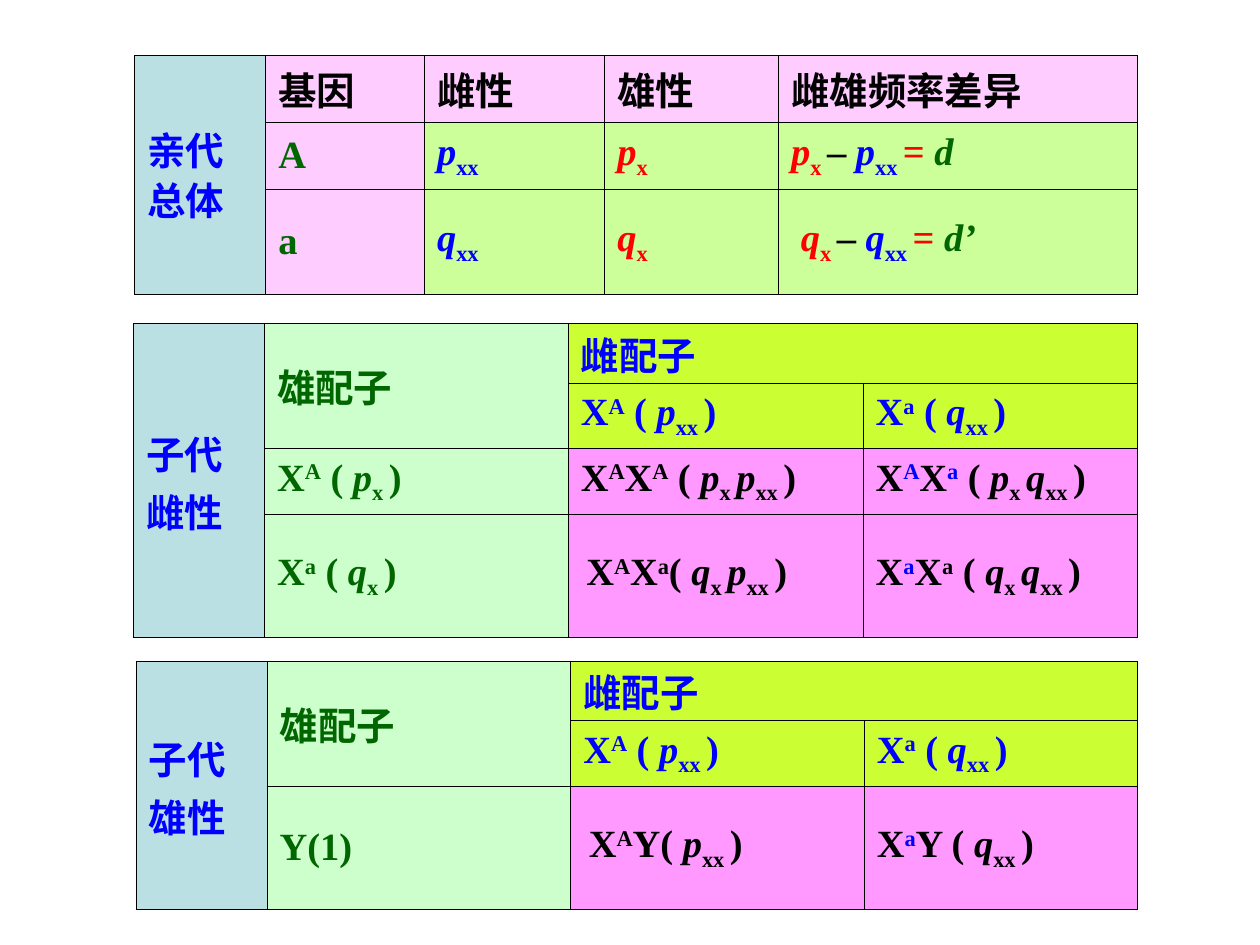
from lxml import etree
from pptx import Presentation
from pptx.dml.color import RGBColor
from pptx.enum import text
from pptx.oxml import ns
from pptx.util import Pt

THEME = {
    "font": {"name": "Times New Roman", "size": Pt(22), "bold": True},
    "ink": {"blue": "0000FF", "red": "FF0000", "green": "006600", "black": "000000"},
    "fill": {"side": "BBE0E3", "head": "FFCCFF", "freq": "CCFF99",
             "male": "CCFFCC", "female": "CCFF33", "cross": "FF99FF"},
    "border": {"color": "000000", "outer": 0.75, "inner": 0.45},
    "cell": {"vertical_anchor": text.MSO_ANCHOR.MIDDLE, "margin_top": 0, "margin_bottom": 0},
    "plain_table": "{2D5ABB26-0587-4C30-8999-92F81FD0307C}",
}
JUSTIFY = {"alignment": text.PP_ALIGN.JUSTIFY}
LAYOUTS = {
    "left": {},
    "even": JUSTIFY,
    "tight": {**JUSTIFY, "line_spacing": 0.9},
    "spread": {**JUSTIFY, "line_spacing": 1.05},
    "raised": {"space_after": Pt(5.5)},
}
BASELINES = {"^": "30000", "_": "-25000"}


def write(paragraph, markup):
    ink = "black"
    for piece in markup.split("|"):
        if piece in THEME["ink"]:
            ink = piece
            continue
        mark = piece[0] if piece[0] in "^_/" else ""
        run = paragraph.add_run()
        run.text = piece[len(mark):]
        for key, value in {**THEME["font"], "italic": mark == "/"}.items():
            setattr(run.font, key, value)
        run.font.color.rgb = RGBColor.from_string(THEME["ink"][ink])
        if mark in BASELINES:
            run.font._element.set("baseline", BASELINES[mark])


def add_borders(cell, outer_sides):
    properties = cell._tc.get_or_add_tcPr()
    for order, side in enumerate("LRTB"):
        weight = THEME["border"]["outer" if outer_sides[side] else "inner"]
        line = etree.Element(ns.qn(f"a:ln{side}"), w=str(Pt(weight)))
        fill = etree.SubElement(line, ns.qn("a:solidFill"))
        etree.SubElement(fill, ns.qn("a:srgbClr"), val=THEME["border"]["color"])
        properties.insert(order, line)


gamete_heads = [
    (0, 1, 2, 1, "male", "even", "green|雄配子"),
    (0, 2, 1, 2, "female", "left", "blue|雌配子"),
    (1, 2, 1, 1, "female", "left", "blue|X|^A| ( |/p|_xx |)"),
    (1, 3, 1, 1, "female", "left", "blue|X|^a| ( |/q|_xx |)"),
]

parents = [
    (0, 0, 3, 1, "side", "tight", "blue|亲代\nblue|总体"),
    (0, 1, 1, 1, "head", "even", "基因"),
    (0, 2, 1, 1, "head", "left", "雌性"),
    (0, 3, 1, 1, "head", "even", "雄性"),
    (0, 4, 1, 1, "head", "even", "雌雄频率差异"),
    (1, 1, 1, 1, "head", "even", "green|A"),
    (2, 1, 1, 1, "head", "raised", "green|a"),
]
for row, allele, gap, difference in [(1, "p", "", "d"), (2, "q", " ", "d’")]:
    parents += [
        (row, 2, 1, 1, "freq", "left", f"blue|/{allele}|_xx"),
        (row, 3, 1, 1, "freq", "even", f"red|/{allele}|_x"),
        (row, 4, 1, 1, "freq", "even",
         f"red|/{gap}{allele}|_x |black|– |blue|/{allele}|_xx |red|= |green|/{difference}"),
    ]

daughters = [
    (0, 0, 4, 1, "side", "spread", "blue|子代\nblue|雌性"),
    *gamete_heads,
    (2, 1, 1, 1, "male", "left", "green|X|^A| ( |/p|_x |)"),
    (2, 2, 1, 1, "cross", "left", "X|^A|X|^A| ( |/p|_x |/p|_xx |)"),
    (2, 3, 1, 1, "cross", "even", "X|blue|^A|black|X|blue|^a|black| ( |/p|_x |/q|_xx |)"),
    (3, 1, 1, 1, "male", "raised", "green|X|^a| ( |/q|_x |)"),
    (3, 2, 1, 1, "cross", "raised", "_ |X|^A|X|^a|( |/q|_x |/p|_xx |)"),
    (3, 3, 1, 1, "cross", "raised", "X|blue|^a|black|X|^a| ( |/q|_x |/q|_xx |)"),
]

sons = [
    (0, 0, 3, 1, "side", "spread", "blue|子代\nblue|雄性"),
    *gamete_heads,
    (2, 1, 1, 1, "male", "raised", "green|Y(1)"),
    (2, 2, 1, 1, "cross", "raised", "_ |X|^A|Y( |/p|_xx |)"),
    (2, 3, 1, 1, "cross", "raised", "X|blue|^a|black|Y ( |/q|_xx |)"),
]

generations = [
    (107, 44, [104, 126, 143, 138, 285], [53, 53, 84], parents),
    (106, 257, [104, 241, 234, 218], [47, 52, 52, 98], daughters),
    (108, 525, [104, 241, 233, 217], [47, 52, 98], sons),
]

deck = Presentation()
deck.slide_width, deck.slide_height = Pt(720), Pt(540)
col, row_unit = deck.slide_width // 1000, deck.slide_height // 750
slide = deck.slides.add_slide(deck.slide_layouts[6])

for left, top, widths, heights, entries in generations:
    frame = slide.shapes.add_table(
        len(heights), len(widths), left * col, top * row_unit,
        sum(widths) * col, sum(heights) * row_unit)
    grid = frame.table
    grid.first_row = grid.horz_banding = False
    grid._tbl.tblPr.find(ns.qn("a:tableStyleId")).text = THEME["plain_table"]
    for column, width in zip(grid.columns, widths):
        column.width = width * col
    for band, height in zip(grid.rows, heights):
        band.height = height * row_unit

    for row, column, tall, wide, fill, layout, markup in entries:
        cell = grid.cell(row, column)
        if tall * wide > 1:
            cell.merge(grid.cell(row + tall - 1, column + wide - 1))
        for key, value in THEME["cell"].items():
            setattr(cell, key, value)
        cell.fill.solid()
        cell.fill.fore_color.rgb = RGBColor.from_string(THEME["fill"][fill])
        add_borders(cell, {
            "L": column == 0, "R": column + wide == len(widths),
            "T": row == 0, "B": row + tall == len(heights)})
        for number, words in enumerate(markup.split("\n")):
            body = cell.text_frame
            paragraph = body.add_paragraph() if number else body.paragraphs[0]
            for key, value in LAYOUTS[layout].items():
                setattr(paragraph, key, value)
            write(paragraph, words)

deck.save("out.pptx")
